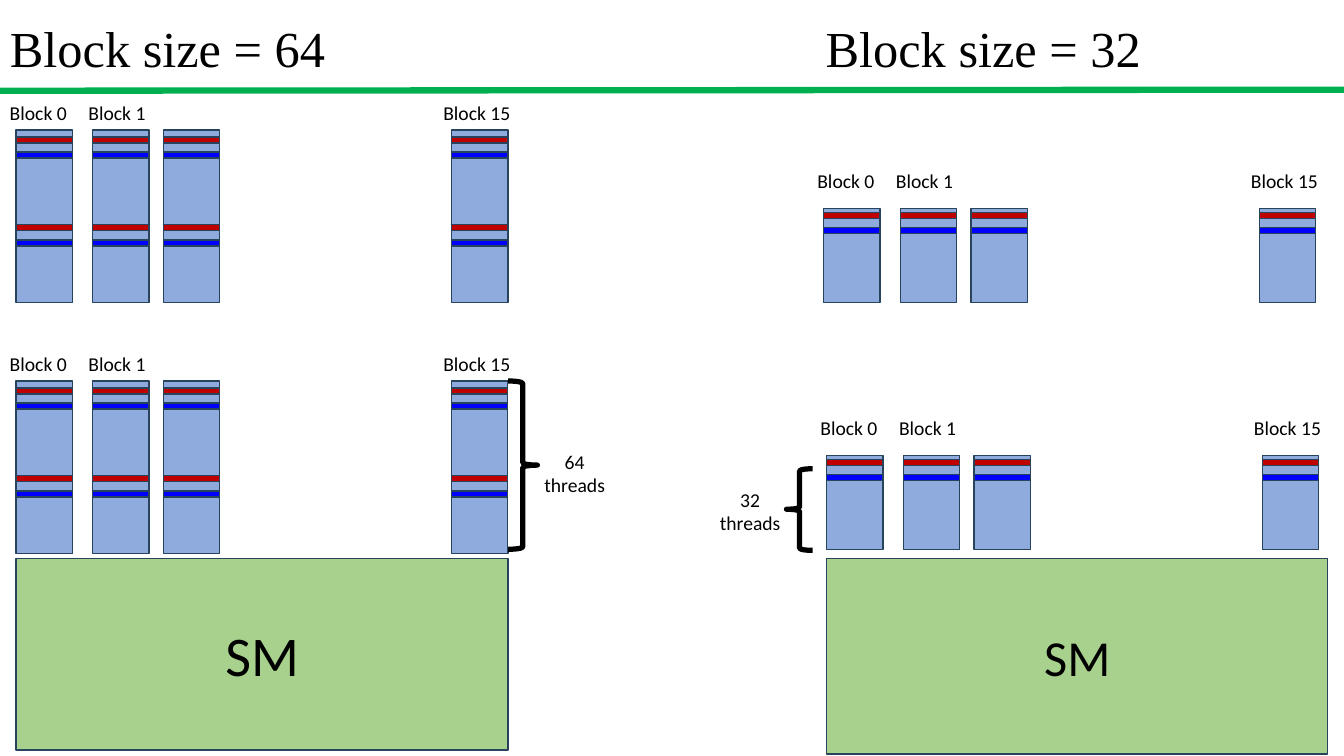
import pptx
import pptx.util
import pptx.dml.color
import pptx.enum.shapes
import pptx.enum.text
import pptx.oxml.ns
import lxml.etree

RGB = pptx.dml.color.RGBColor
SHAPE = pptx.enum.shapes.MSO_SHAPE
ALIGN = pptx.enum.text.PP_ALIGN
ANCHOR = pptx.enum.text.MSO_ANCHOR

BLACK = RGB(0x00, 0x00, 0x00)
WHITE = RGB(0xFF, 0xFF, 0xFF)
GREEN = RGB(0x00, 0xB0, 0x50)
LEAF = RGB(0xA9, 0xD1, 0x8E)
STEEL = RGB(0x8F, 0xAA, 0xDC)
EDGE = RGB(0x28, 0x44, 0x5D)
RED = RGB(0xC0, 0x00, 0x00)
BLUE = RGB(0x00, 0x00, 0xFF)

CELL = 0.1  # inches per grid column and row
WIDE = 5.6  # columns in one block
STEPS = (0, 7.6, 14.6, 43.2)  # left edges of the blocks in a bank
LABELS = (("Block 0", -1.9, 8.2), ("Block 1", 5.9, 8.2), ("Block 15", 40.8, 9.8))


class Board:
    """Holds the style and the slide; lengths are grid columns and rows."""

    def __init__(self, slide):
        self.slide = slide
        self.font = "Calibri"

    def grid(self, *cells):
        return [pptx.util.Inches(cell * CELL) for cell in cells]

    def label(self, frame, text, size, align, font=None):
        para = frame.paragraphs[0]
        para.alignment = align
        run = para.add_run()
        run.text = text
        run.font.size = pptx.util.Pt(size)
        run.font.name = font or self.font
        run.font.color.rgb = BLACK

    def text(self, text, place, size=14, align=ALIGN.CENTER, font=None):
        box = self.slide.shapes.add_textbox(*self.grid(*place))
        box.text_frame.word_wrap = True
        self.label(box.text_frame, text, size, align, font)

    def shape(self, kind, place, fill, edge=EDGE, width=1):
        item = self.slide.shapes.add_shape(kind, *self.grid(*place))
        item.shadow.inherit = False
        item.fill.solid()
        item.fill.fore_color.rgb = fill
        item.line.color.rgb = edge
        item.line.width = pptx.util.Pt(width)
        return item

    def rect(self, place, fill):
        return self.shape(SHAPE.RECTANGLE, place, fill)

    def brace(self, place):
        return self.shape(SHAPE.RIGHT_BRACE, place, WHITE, BLACK, 3.75)

    def chip(self, place, size):
        frame = self.rect(place, LEAF).text_frame
        frame.vertical_anchor = ANCHOR.MIDDLE
        self.label(frame, "SM", size, ALIGN.CENTER)

    def rule(self, ends, color, width):
        line = self.slide.shapes.add_connector(
            pptx.enum.shapes.MSO_CONNECTOR.STRAIGHT, *self.grid(*ends))
        line.line.color.rgb = color
        line.line.width = pptx.util.Pt(width)
        lxml.etree.SubElement(line._element.spPr, pptx.oxml.ns.qn("a:effectLst"))

    def bank(self, left, top, tall, rise, warps):
        """A row of blocks, each with a red and a blue stripe per warp."""
        for step in STEPS:
            self.rect((left + step, top, WIDE, tall), STEEL)
            for warp in warps:
                self.rect((left + step, top + warp, WIDE, 0.6), RED)
                self.rect((left + step, top + warp + 1.5, WIDE, 0.6), BLUE)
        for name, shift, width in LABELS:
            self.text(name, (left + shift, top - rise, width, 3.4))


def main():
    deck = pptx.Presentation()
    deck.slide_width = pptx.util.Inches(13.33)
    deck.slide_height = pptx.util.Inches(7.5)
    board = Board(deck.slides.add_slide(deck.slide_layouts[6]))

    # Titles and rule
    board.rule((0, 9, 133.3, 8.9), GREEN, 4.5)
    for size, left in ((64, 0), (32, 80.9)):
        board.text(f"Block size = {size}", (left, 1.2, 35.5, 7.1), 36,
                   ALIGN.LEFT, "Times New Roman")

    # Multiprocessors
    board.chip((1.6, 55.4, 48.8, 19), 40)
    board.chip((82, 55.4, 49.7, 19.4), 36)

    # Banks of 64-thread blocks, then of 32-thread blocks
    for top in (12.9, 37.8):
        board.bank(1.6, top, 17.1, 3.4, (0.7, 9.4))
    for left, top in ((81.7, 20.7), (82, 45.2)):
        board.bank(left, top, 9.3, 4.4, (0.4,))

    # Thread counts
    board.brace((50.4, 37.8, 2.9, 16.7))
    board.text("64 threads", (52.1, 44.1, 9.8, 5.7))
    brace = board.brace((78, 46.5, 2.6, 8.1))
    brace.rotation = 180
    brace.adjustments[1] = 0.504
    board.text("32 threads", (69.5, 47.9, 9.8, 5.7))

    deck.save("out.pptx")


if __name__ == "__main__":
    main()
